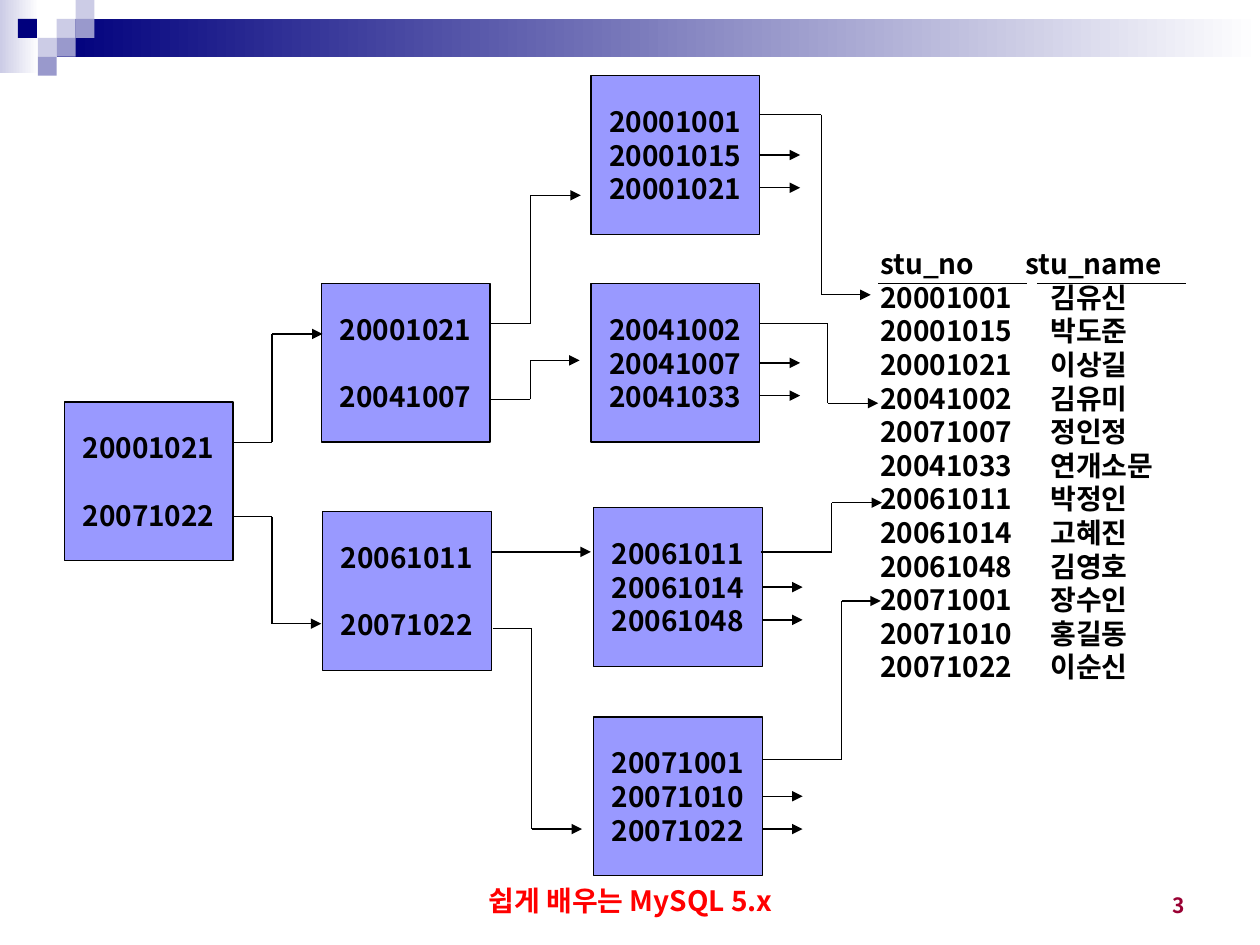
import pptx
import pptx.util
import pptx.dml.color
import pptx.enum.shapes
import pptx.enum.text
import pptx.oxml
import pptx.oxml.ns
import lxml.etree

RGBColor = pptx.dml.color.RGBColor
BLACK = RGBColor(0x00, 0x00, 0x00)
WHITE = RGBColor(0xFF, 0xFF, 0xFF)
NAVY = RGBColor(0x00, 0x00, 0x7D)
LILAC = RGBColor(0xCC, 0xCC, 0xE6)
MAUVE = RGBColor(0x99, 0x99, 0xCC)
NODE_BLUE = RGBColor(0x99, 0x99, 0xFF)
RED = RGBColor(0xFF, 0x00, 0x00)
WINE = RGBColor(0x99, 0x00, 0x33)

FONT = "Noto Sans CJK KR"
LINE_HEIGHT = 19.2
NODE_W, NODE_H = 1.34, 1.26
STUB_LENGTH, STUB_GAP = 0.32, 0.26
TILE = 0.15

BANDS = [
    ((0, 0, 0.31, 0.58), LILAC),
    ((0.45, 0.15, 9.55, 0.3), NAVY),
]
TILES = [
    (3, 1, LILAC), (4, 0, LILAC), (4, 1, MAUVE), (2, 2, LILAC),
    (0.95, 1, NAVY), (3, 2, MAUVE), (2, 3, MAUVE),
]

BRANCHES = [
    (0.51, 3.19, ["20001021", "20071022"]),
    (2.55, 2.25, ["20001021", "20041007"]),
    (2.56, 4.06, ["20061011", "20071022"]),
]
LEAVES = [
    (4.69, 0.6, ["20001001", "20001015", "20001021"]),
    (4.69, 2.25, ["20041002", "20041007", "20041033"]),
    (4.71, 4.03, ["20061011", "20061014", "20061048"]),
    (4.71, 5.69, ["20071001", "20071010", "20071022"]),
]

# start x, start y, turn x, end x, end y
POINTERS = [
    (1.85, 3.51, 2.16, 2.56, 2.65),
    (1.85, 4.1, 2.16, 2.55, 4.95),
    (3.9, 2.57, 4.21, 4.61, 1.55),
    (3.89, 3.17, 4.21, 4.6, 2.86),
    (3.91, 4.99, 4.22, 4.62, 6.58),
    (6.03, 0.91, 6.52, 6.91, 2.34),
    (6.03, 2.57, 6.57, 6.97, 3.2),
    (6.04, 4.38, 6.6, 7, 3.99),
    (6.05, 6.03, 6.68, 6.99, 4.77),
]
STRAIGHT_POINTER = (3.9, 4.38, 4.69, 4.38)
HEADER_RULES = [(6.97, 2.25, 8.15, 2.25), (8.23, 2.25, 9.41, 2.25)]

HEADER = ("stu_no", "stu_name")
STUDENTS = [
    ("20001001", "김유신"), ("20001015", "박도준"), ("20001021", "이상길"),
    ("20041002", "김유미"), ("20071007", "정인정"), ("20041033", "연개소문"),
    ("20061011", "박정인"), ("20061014", "고혜진"), ("20061048", "김영호"),
    ("20071001", "장수인"), ("20071010", "홍길동"), ("20071022", "이순신"),
]
HEADER_TAB, STUDENT_TAB = 1.15, 1.35

ALIGN = pptx.enum.text.PP_ALIGN
ANCHOR = pptx.enum.text.MSO_ANCHOR
inches = pptx.util.Inches

prs = pptx.Presentation()
prs.slide_width, prs.slide_height = inches(10), inches(7.5)
slide = prs.slides.add_slide(prs.slide_layouts[6])


def add_rect(x, y, w, h):
    rect = slide.shapes.add_shape(
        pptx.enum.shapes.MSO_SHAPE.RECTANGLE, *map(inches, (x, y, w, h)))
    rect.shadow.inherit = False
    rect.line.fill.background()
    return rect


def write(frame, lines, align, size=16, color=BLACK, height=None, tabs=()):
    for i, line in enumerate(lines):
        paragraph = frame.paragraphs[0] if i == 0 else frame.add_paragraph()
        paragraph.text = line
        paragraph.alignment = align
        if height:
            paragraph.line_spacing = pptx.util.Pt(height)
        if tabs:
            properties = paragraph._p.get_or_add_pPr()
            tab_list = lxml.etree.SubElement(properties, pptx.oxml.ns.qn("a:tabLst"))
            lxml.etree.SubElement(tab_list, pptx.oxml.ns.qn("a:tab"),
                                  pos=str(inches(tabs[i])), algn="l")
        font = paragraph.font
        font.name, font.size, font.bold = FONT, pptx.util.Pt(size), True
        font.color.rgb = color


def add_node(x, y, keys):
    node = add_rect(x, y, NODE_W, NODE_H)
    node.fill.solid()
    node.fill.fore_color.rgb = NODE_BLUE
    node.line.color.rgb = BLACK
    node.line.width = pptx.util.Pt(0.75)
    frame = node.text_frame
    frame.word_wrap = False
    frame.vertical_anchor = ANCHOR.MIDDLE
    write(frame, keys, ALIGN.CENTER, height=LINE_HEIGHT)
    if len(keys) == 2:
        frame.paragraphs[1].space_before = pptx.util.Pt(LINE_HEIGHT)
    return node


def add_line(x1, y1, x2, y2, arrow=False):
    line = slide.shapes.add_connector(
        pptx.enum.shapes.MSO_CONNECTOR.STRAIGHT, *map(inches, (x1, y1, x2, y2)))
    line.line.color.rgb = BLACK
    line.line.width = pptx.util.Pt(0.75)
    if arrow:
        lxml.etree.SubElement(line.line._get_or_add_ln(),
                              pptx.oxml.ns.qn("a:tailEnd"), type="triangle")
    lxml.etree.SubElement(line._element.spPr, pptx.oxml.ns.qn("a:effectLst"))
    return line


def add_text(x, y, w, h, lines, align, anchor, **style):
    frame = slide.shapes.add_textbox(*map(inches, (x, y, w, h))).text_frame
    frame.word_wrap = True
    frame.vertical_anchor = anchor
    write(frame, lines, align, **style)


for place, color in BANDS:
    fill = add_rect(*place).fill
    fill.gradient()
    fill.gradient_angle = 0
    for stop, shade in zip(fill.gradient_stops, (color, WHITE)):
        stop.color.rgb = shade
for column, row, color in TILES:
    fill = add_rect(column * TILE, row * TILE, TILE, TILE).fill
    fill.solid()
    fill.fore_color.rgb = color

for branch in BRANCHES:
    add_node(*branch)
for x, y, keys in LEAVES:
    leaf = add_node(x, y, keys)
    right, middle = x + NODE_W, y + NODE_H / 2
    add_line(right, middle, right + STUB_LENGTH, middle, True).begin_connect(leaf, 3)
    lower = middle + STUB_GAP
    add_line(right, lower, right + STUB_LENGTH, lower, True)

for start_x, start_y, turn_x, end_x, end_y in POINTERS:
    add_line(start_x, start_y, turn_x, start_y)
    add_line(turn_x, start_y, turn_x, end_y)
    add_line(turn_x, end_y, end_x, end_y, True)
add_line(*STRAIGHT_POINTER, True)
for rule in HEADER_RULES:
    add_line(*rule)

add_text(6.89, 1.91, 2.84, 3.57, ["\t".join(row) for row in [HEADER] + STUDENTS],
         ALIGN.LEFT, ANCHOR.TOP, height=LINE_HEIGHT,
         tabs=[HEADER_TAB] + [STUDENT_TAB] * len(STUDENTS))
add_text(3.42, 6.83, 3.17, 0.5, ["쉽게 배우는 MySQL 5.x"],
         ALIGN.CENTER, ANCHOR.BOTTOM, color=RED)
add_text(7.17, 6.83, 2.33, 0.5, ["3"], ALIGN.RIGHT, ANCHOR.BOTTOM, size=12, color=WINE)

prs.save("out.pptx")
